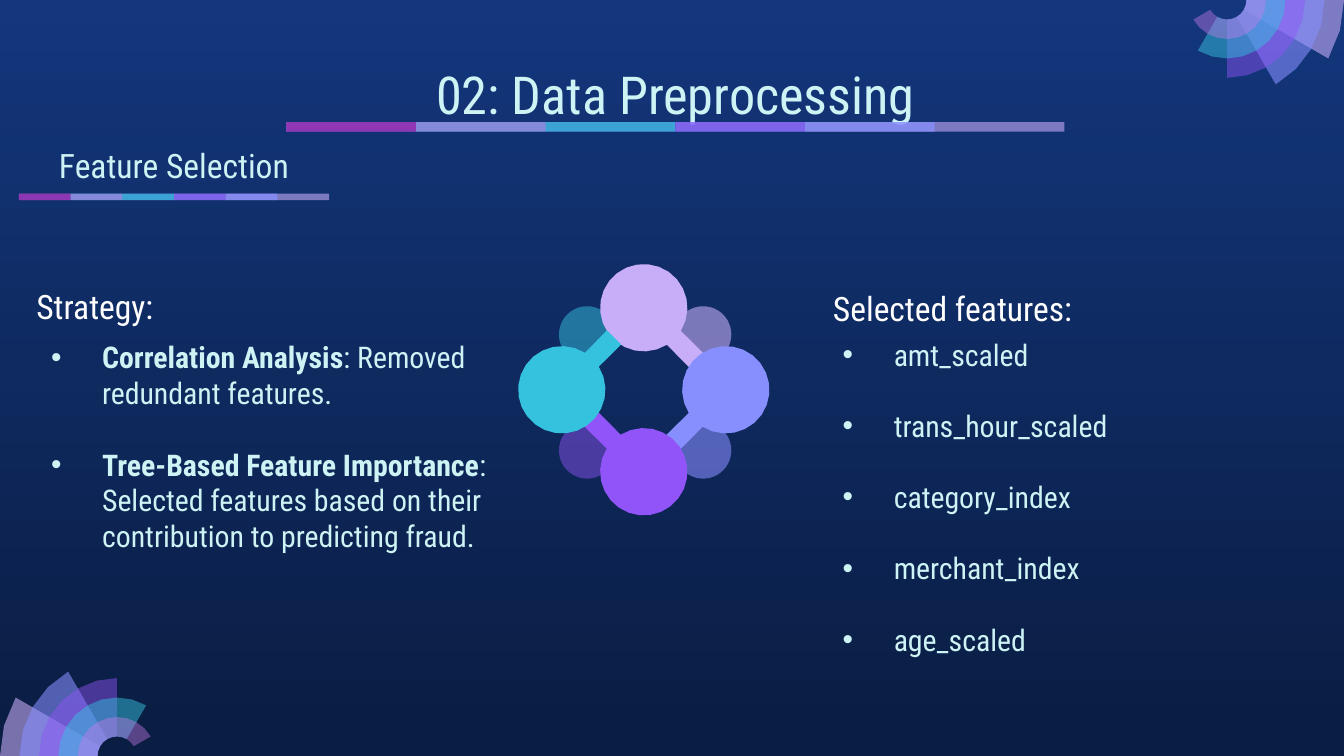
"""Build the feature selection slide on a grid of tenth-inch cells."""
import math

import pptx
import pptx.dml.color
import pptx.enum.shapes
import pptx.enum.text
import pptx.oxml.ns
import pptx.util
from lxml import etree

RGB = pptx.dml.color.RGBColor
NAVY = RGB(0x13, 0x36, 0x7C)
NIGHT = RGB(0x0A, 0x1D, 0x42)
MINT = RGB(0xCE, 0xF3, 0xF5)
WHITE = RGB(0xFF, 0xFF, 0xFF)
LILAC = RGB(0xC8, 0xAE, 0xF8)
BLUE = RGB(0x87, 0x8F, 0xFF)
VIOLET = RGB(0x91, 0x54, 0xF8)
CYAN = RGB(0x35, 0xC2, 0xDF)
ORCHID = RGB(0xCA, 0x7B, 0xEB)
PLUM = RGB(0x97, 0x2C, 0xB4)
FONT = "Roboto Condensed"
CELL = pptx.util.Inches(0.1)
COLS, ROWS = 100, 56.25
KIND = pptx.enum.shapes.MSO_SHAPE
ALIGN = pptx.enum.text.PP_ALIGN
ANCHOR = pptx.enum.text.MSO_ANCHOR
qn = pptx.oxml.ns.qn


def paint(shape, tone, alpha):
    shape.shadow.inherit = False
    shape.line.fill.background()
    shape.fill.solid()
    shape.fill.fore_color.rgb = tone
    if alpha < 100:
        color = next(shape.element.spPr.iter(qn("a:srgbClr")))
        etree.SubElement(color, qn("a:alpha")).set("val", str(alpha * 1000))


def arc(x, y, size, start, end):
    steps = math.ceil(abs(end - start) / 15)
    turns = [math.radians(start + (end - start) * k / steps) for k in range(steps + 1)]
    return [(x + size * math.cos(t), y + size * math.sin(t)) for t in turns]


deck = pptx.Presentation()
deck.slide_width = COLS * CELL
deck.slide_height = int(ROWS * CELL)
slide = deck.slides.add_slide(deck.slide_layouts[4])
shapes = slide.shapes

back = slide.background.fill
back.gradient()
back.gradient_angle = 270
for stop, tone in zip(back.gradient_stops, (NAVY, NIGHT)):
    stop.color.rgb = tone

bands = [(LILAC, 59), (BLUE, 74), (VIOLET, 53), (CYAN, 76), (ORCHID, 56), (PLUM, 74)]
for left, mid, step, thick in ((21.3, 9.45, 9.65, 0.7), (1.4, 14.65, 3.85, 0.5)):
    for k, (tone, alpha) in enumerate(bands):
        start = left + max(4 - k, 0) * step
        wide = step if tone == PLUM else 2 * step
        box = (start, mid - thick / 2, wide, thick)
        bar = shapes.add_shape(KIND.RECTANGLE, *(int(n * CELL) for n in box))
        paint(bar, tone, alpha)

dots = [(CYAN, 49), (LILAC, 59), (BLUE, 58), (VIOLET, 46)]
for k, (tone, alpha) in enumerate(dots):
    turn = math.radians(225 + 90 * k)
    x = 48 + 6.1 * math.cos(turn)
    y = 29.2 + 6.1 * math.sin(turn)
    box = (x - 2.1, y - 2.1, 4.2, 4.2)
    dot = shapes.add_shape(KIND.OVAL, *(int(n * CELL) for n in box))
    paint(dot, tone, alpha)

forms = []
blades = [(LILAC, 58), (BLUE, 58), (VIOLET, 46), (CYAN, 49), (ORCHID, 42)]
for x, y, base in ((8.7, ROWS, 180), (COLS - 8.7, 0, 0)):
    for k, (tone, alpha) in enumerate(blades):
        end = base + 30 * (k + 1)
        rim = arc(x, y, 1.45 * (6 - k), base, end)
        forms.append((rim + arc(x, y, 1.45, end, base), tone, alpha))

for k, tone in enumerate((LILAC, BLUE, VIOLET, CYAN)):
    turn = math.radians(270 + 90 * k)
    x = 47.9 + 6.1 * math.cos(turn)
    y = 29 + 6.1 * math.sin(turn)
    aim = 45 + 90 * k
    tip = arc(x, y, 5.55, aim - 7.7, aim + 7.7)
    ring = arc(x, y, 3.25, aim + 13, aim + 347)
    forms.append((ring + [tip[0], tip[-1]], tone, 100))

for points, tone, alpha in forms:
    spots = [(x * CELL, y * CELL) for x, y in points]
    pen = shapes.build_freeform(*spots[0])
    pen.add_line_segments(spots[1:])
    paint(pen.convert_to_shape(), tone, alpha)

title, head1, list1, head2, list2 = slide.placeholders
topic = shapes.add_textbox(0, 0, CELL, CELL)
plan = [
    [("Correlation Analysis", True), (": Removed redundant features.", False)],
    [("Tree-Based Feature Importance", True),
     (": Selected features based on their contribution to predicting fraud.", False)],
]
names = ["amt_scaled", "trans_hour_scaled", "category_index", "merchant_index", "age_scaled"]
picks = [[(name, False)] for name in names]
texts = [
    (title, (21.3, 3.6, 57.9, 6.3), 28, MINT, 1, [[("02: Data Preprocessing", False)]]),
    (topic, (1.4, 9.8, 23.1, 3.6), 18, MINT, 1, [[("Feature Selection", False)]]),
    (head1, (1.7, 20.8, 22.8, 4), 18, WHITE, 0.5, [[("Strategy:", False)]]),
    (head2, (60.4, 20.9, 24.8, 4), 18, WHITE, 0.5, [[(" Selected features:", False)]]),
    (list1, (2.8, 24.5, 36.2, 17.7), 16, MINT, 1, plan),
    (list2, (61.7, 24.5, 36.2, 25.4), 16, MINT, 1, picks),
]
for shape, box, size, tone, pad, paras in texts:
    shape.left, shape.top, shape.width, shape.height = (int(n * CELL) for n in box)
    listed = shape in (list1, list2)
    frame = shape.text_frame
    frame.word_wrap = True
    frame.auto_size = pptx.enum.text.MSO_AUTO_SIZE.NONE
    frame.vertical_anchor = ANCHOR.BOTTOM if listed else ANCHOR.TOP
    frame.margin_left = frame.margin_right = CELL
    frame.margin_top = frame.margin_bottom = int(pad * CELL)
    for k, runs in enumerate(paras):
        para = frame.add_paragraph() if k else frame.paragraphs[0]
        para.alignment = ALIGN.CENTER if shape in (title, topic) else ALIGN.LEFT
        para.line_spacing = 1.0
        para.space_before = pptx.util.Pt(19 if k else 0)
        para.space_after = pptx.util.Pt(0)
        if listed:
            props = para._p.get_or_add_pPr()
            props.set("marL", str(int(3.8 * CELL)))
            props.set("indent", str(int(-3.8 * CELL)))
            tint = etree.SubElement(props, qn("a:buClr"))
            etree.SubElement(tint, qn("a:srgbClr")).set("val", str(MINT))
            etree.SubElement(props, qn("a:buFont")).set("typeface", "Arial")
            etree.SubElement(props, qn("a:buChar")).set("char", "•")
        for words, bold in runs:
            run = para.add_run()
            run.text = words
            run.font.name = FONT
            run.font.size = pptx.util.Pt(size)
            run.font.bold = bold
            run.font.color.rgb = tone

deck.save("out.pptx")
